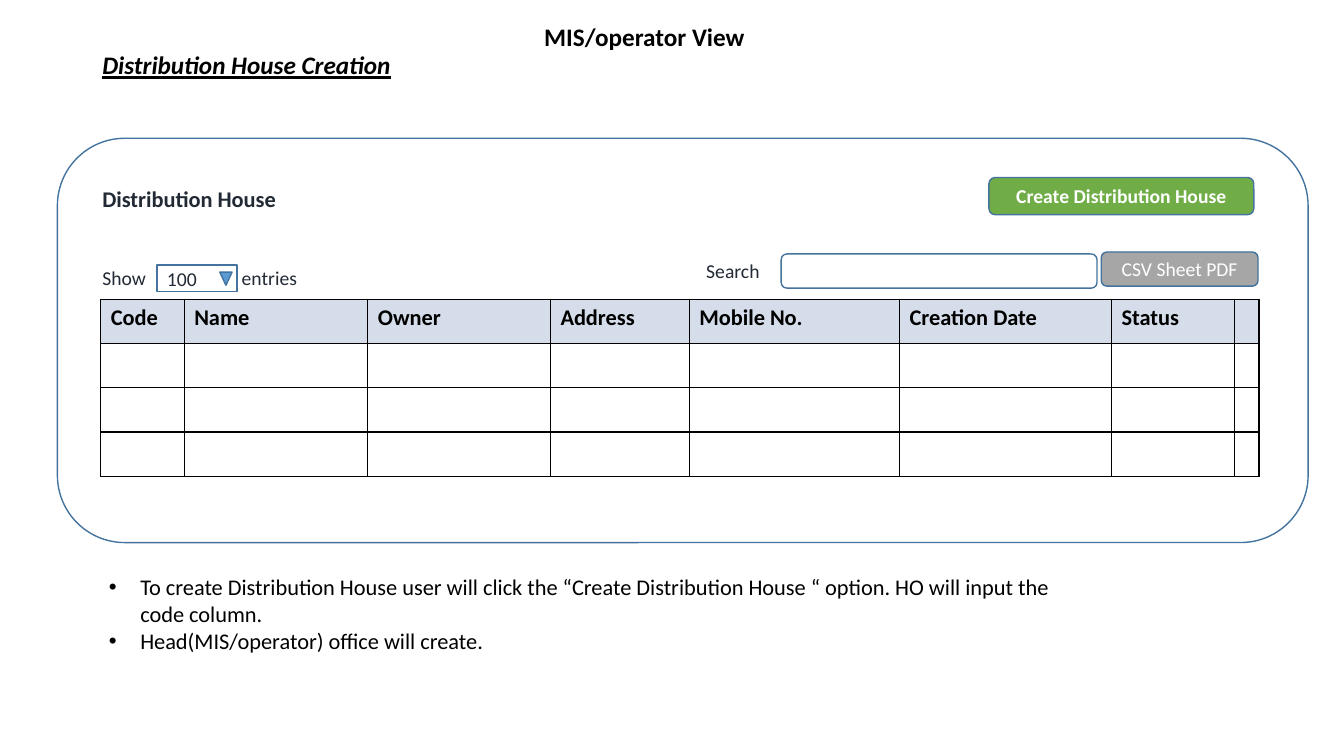
"""Build the Distribution House Creation screen mock-up slide."""
from lxml import etree
from pptx import Presentation
from pptx.dml.color import RGBColor
from pptx.enum import shapes, text
from pptx.oxml import ns
from pptx.util import Pt

BLACK = RGBColor(0x00, 0x00, 0x00)
WHITE = RGBColor(0xFF, 0xFF, 0xFF)
INK = RGBColor(0x22, 0x2A, 0x35)
OUTLINE = RGBColor(0x43, 0x73, 0x9E)
GREEN = RGBColor(0x70, 0xAD, 0x47)
GRAY = RGBColor(0xA6, 0xA6, 0xA6)
BLUE = RGBColor(0x5B, 0x9B, 0xD5)
HEADER = RGBColor(0x2F, 0x55, 0x97)

SHAPE = shapes.MSO_SHAPE
MIDDLE = text.MSO_ANCHOR.MIDDLE
TOP = text.MSO_ANCHOR.TOP
LEFT = text.PP_ALIGN.LEFT
CENTER = text.PP_ALIGN.CENTER


def write(tf, lines, size, color, bold=False, align=LEFT, anchor=TOP):
    tf.text = lines
    tf.word_wrap = True
    tf.vertical_anchor = anchor
    for p in tf.paragraphs:
        p.alignment = align
        for r in p.runs:
            r.font.name = "Calibri"
            r.font.size = Pt(size)
            r.font.bold = bold
            r.font.color.rgb = color


def add_box(kind, box, fill=None, line=OUTLINE):
    sp = s.shapes.add_shape(kind, *map(Pt, box))
    sp.shadow.inherit = False
    if fill is None:
        sp.fill.background()
    else:
        sp.fill.solid()
        sp.fill.fore_color.rgb = fill
    sp.line.color.rgb = line
    sp.line.width = Pt(1)
    return sp


prs = Presentation()
prs.slide_width, prs.slide_height = Pt(960), Pt(540)
s = prs.slides.add_slide(prs.slide_layouts[6])

title = s.shapes.add_textbox(Pt(66), Pt(23.8), Pt(828), Pt(47.5))
write(title.text_frame, "Distribution House Creation", 18, BLACK, True, anchor=MIDDLE)
p = title.text_frame.paragraphs[0]
p.line_spacing = 0.9
p.runs[0].font.italic = True
p.runs[0].font.underline = True

col_widths = [59.6, 131.2, 130.4, 99.2, 150.2, 151.4, 87.6, 17.8]
row_heights = [56.8] + [31.6] * 4
headings = ["Code", "Name", "Owner", "Address", "Mobile No.", "Creation Date", "Status", ""]
tbl = s.shapes.add_table(len(row_heights), len(col_widths), Pt(72), Pt(157),
                         Pt(sum(col_widths)), Pt(sum(row_heights))).table
tbl.first_row = tbl.horz_banding = False
for col, width in zip(tbl.columns, col_widths):
    col.width = Pt(width)
for i, (row, height) in enumerate(zip(tbl.rows, row_heights)):
    row.height = Pt(height)
    for cell, heading in zip(row.cells, headings):
        tcPr = cell._tc.get_or_add_tcPr()
        for side in ("lnL", "lnR", "lnT", "lnB"):
            ln = etree.SubElement(tcPr, ns.qn("a:" + side), w=str(Pt(1)))
            if i == 0 and side != "lnB":
                etree.SubElement(ln, ns.qn("a:noFill"))
            else:
                solid = etree.SubElement(ln, ns.qn("a:solidFill"))
                etree.SubElement(solid, ns.qn("a:srgbClr"), val=str(BLACK))
        if i == 1:
            write(cell.text_frame, heading, 16, BLACK, True)
            cell.fill.solid()
            cell.fill.fore_color.rgb = HEADER
            clr = tcPr.find(ns.qn("a:solidFill")).find(ns.qn("a:srgbClr"))
            etree.SubElement(clr, ns.qn("a:alpha"), val="20000")
        elif i > 2:
            cell.fill.solid()
            cell.fill.fore_color.rgb = WHITE
        else:
            cell.fill.background()

for label, x, y, w, h, size, color, bold, anchor in [
    ("Search", 497.4, 181.4, 56, 24.2, 14, INK, False, TOP),
    ("Distribution House", 66, 129, 172, 26.6, 16, INK, True, TOP),
    ("Show", 66, 186.4, 56, 24.2, 14, INK, False, TOP),
    ("entries", 165.6, 186.4, 56, 24.2, 14, INK, False, TOP),
    ("MIS/operator View", 381.6, 4, 168, 44, 18, BLACK, True, MIDDLE),
]:
    tb = s.shapes.add_textbox(Pt(x), Pt(y), Pt(w), Pt(h))
    write(tb.text_frame, label, size, color, bold, anchor=anchor)

search_field = add_box(SHAPE.ROUNDED_RECTANGLE, (558, 181.4, 225.6, 24.4))
create_button = add_box(SHAPE.ROUNDED_RECTANGLE, (706.4, 126.8, 189.2, 26.6), GREEN)
write(create_button.text_frame, "Create Distribution House", 14, WHITE, True, CENTER, MIDDLE)
page_size = add_box(SHAPE.RECTANGLE, (112.2, 189.4, 57, 18.8))
write(page_size.text_frame, "100", 14, INK, anchor=MIDDLE)
dropdown_arrow = add_box(SHAPE.FLOWCHART_MERGE, (157, 194.4, 8.8, 9.4), BLUE)

notes_box = add_box(SHAPE.RECTANGLE, (70.6, 406, 718, 64.8), line=WHITE)
write(notes_box.text_frame,
      "To create Distribution House user will click the “Create Distribution House “ option. "
      "HO will input the code column.\nHead(MIS/operator) office will create.",
      16, BLACK, anchor=MIDDLE)
for p in notes_box.text_frame.paragraphs:
    pPr = p._p.get_or_add_pPr()
    pPr.set("marL", str(Pt(22.5)))
    pPr.set("indent", str(-Pt(22.5)))
    etree.SubElement(pPr, ns.qn("a:buFont"), typeface="Arial")
    etree.SubElement(pPr, ns.qn("a:buChar"), char="•")

panel = add_box(SHAPE.ROUNDED_RECTANGLE, (41, 98.8, 893.4, 288.8))
export_button = add_box(SHAPE.ROUNDED_RECTANGLE, (786.6, 180, 112, 24.4), GRAY)
write(export_button.text_frame, "CSV Sheet PDF", 14, WHITE, align=CENTER, anchor=MIDDLE)

prs.save("out.pptx")
